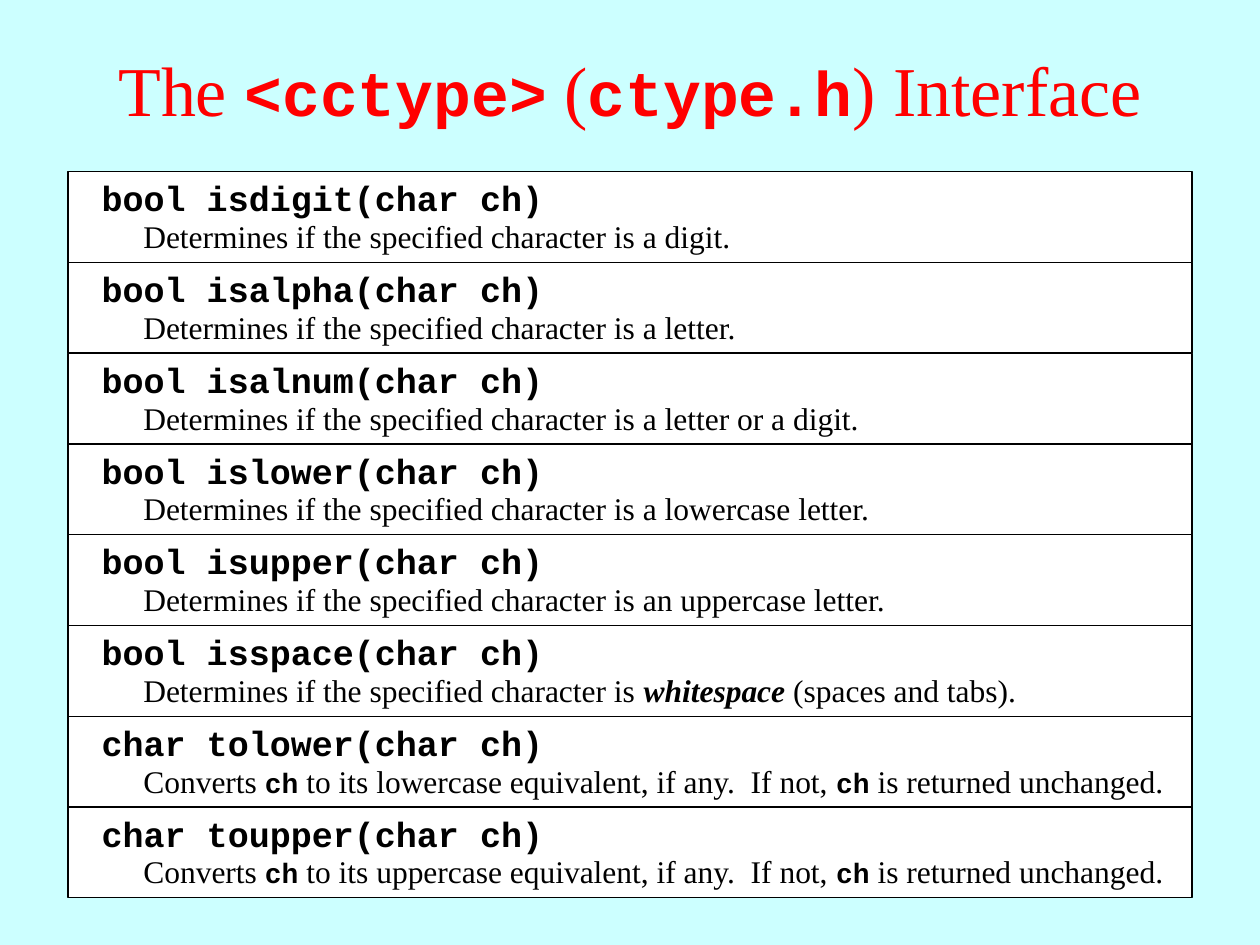
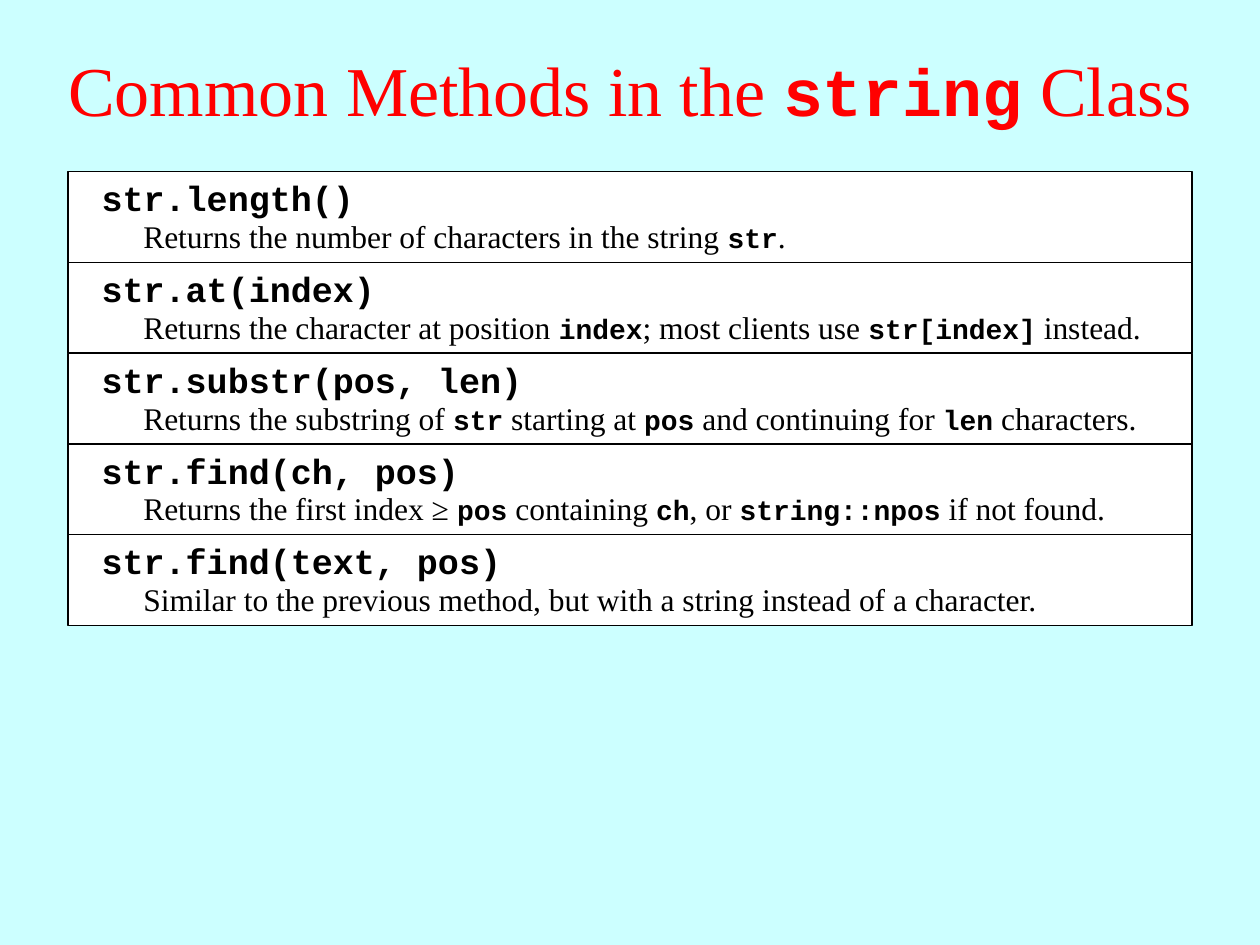
from pptx import Presentation
from pptx.dml.color import RGBColor
from pptx.enum.shapes import MSO_SHAPE
from pptx.enum.text import MSO_ANCHOR, MSO_AUTO_SIZE, PP_ALIGN
from pptx.util import Cm, Pt

RECTANGLE = MSO_SHAPE.RECTANGLE
MIDDLE = MSO_ANCHOR.MIDDLE
FIT_SHAPE, NO_FIT = MSO_AUTO_SIZE.SHAPE_TO_FIT_TEXT, MSO_AUTO_SIZE.NONE
CENTER, LEFT = PP_ALIGN.CENTER, PP_ALIGN.LEFT

COLORS = {"background": "CCFFFF", "title": "FF0000", "row": "FFFFFF", "ink": "000000"}
PROSE_FONT, CODE_FONT = "Times New Roman", "Courier New"

# Row grid, in centimetres
ROW_LEFT, ROW_TOP, ROW_WIDTH, ROW_HEIGHT = 1.37, 3.46, 22.66, 1.83

# Wording: `code` and *term* mark the spans set in another style
CCTYPE_ROWS = [
    ("bool isdigit(char ch)", "Determines if the specified character is a digit."),
    ("bool isalpha(char ch)", "Determines if the specified character is a letter."),
    ("bool isalnum(char ch)", "Determines if the specified character is a letter or a digit."),
    ("bool islower(char ch)", "Determines if the specified character is a lowercase letter."),
    ("bool isupper(char ch)", "Determines if the specified character is an uppercase letter."),
    ("bool isspace(char ch)",
     "Determines if the specified character is *whitespace *(spaces and tabs)."),
    ("char tolower(char ch)",
     "Converts `ch` to its lowercase equivalent, if any.  If not, `ch` is returned unchanged."),
    ("char toupper(char ch)",
     "Converts `ch` to its uppercase equivalent, if any.  If not, `ch` is returned unchanged."),
]
STRING_ROWS = [
    ("str.length()", "Returns the number of characters in the string `str`."),
    ("str.at(index)",
     "Returns the character at position `index`; most clients use `str[index]` instead."),
    ("str.substr(pos, len)",
     "Returns the substring of `str` starting at `pos` and continuing for `len` characters."),
    ("str.find(ch, pos)",
     "Returns the first index ≥ `pos` containing `ch`, or `string::npos` if not found."),
    ("str.find(text, pos)",
     "Similar to the previous method, but with a string instead of a character."),
]


def color(name):
    return RGBColor.from_string(COLORS[name])


def add_span(para, text, font, size, bold=False, italic=False):
    if text:
        span = para.add_run()
        span.text = text
        span.font.name, span.font.size = font, Pt(size)
        span.font.bold, span.font.italic = bold, italic


def write_marked_text(para, text, prose_size, code_size, ink):
    """Fill a paragraph with prose, `code` and *term* spans."""
    para.font.color.rgb = color(ink)
    for i, part in enumerate(text.split("`")):
        if i % 2:
            add_span(para, part, CODE_FONT, code_size, bold=True)
            continue
        for j, piece in enumerate(part.split("*")):
            is_term = j % 2 == 1
            add_span(para, piece, PROSE_FONT, prose_size, bold=is_term, italic=is_term)


def set_title(page, text, code_size):
    title = page.shapes.title
    title.left, title.top, title.width, title.height = Cm(0), Cm(0.2), Cm(25.4), Cm(3.18)
    frame = title.text_frame
    frame.auto_size, frame.vertical_anchor = NO_FIT, MIDDLE
    para = frame.paragraphs[0]
    para.alignment = CENTER
    write_marked_text(para, text, 40, code_size, "title")


def add_line_of_text(group, left, top, width, height):
    """Add a one-line text box and return its paragraph."""
    box = group.shapes.add_textbox(Cm(left), Cm(top), Cm(width), Cm(height))
    box.text_frame.word_wrap = True
    box.text_frame.auto_size = FIT_SHAPE
    para = box.text_frame.paragraphs[0]
    para.alignment = LEFT
    return para


def add_row(page, top, signature, description):
    group = page.shapes.add_group_shape()

    # Frame
    frame = group.shapes.add_shape(
        RECTANGLE, Cm(ROW_LEFT), Cm(top), Cm(ROW_WIDTH), Cm(ROW_HEIGHT))
    frame.shadow.inherit = False
    frame.fill.solid()
    frame.fill.fore_color.rgb = color("row")
    frame.line.color.rgb = color("ink")
    frame.line.width = Pt(0.75)

    # Signature
    para = add_line_of_text(group, 1.8, top - 0.02, 21.79, 1.09)
    para.text = signature
    para.font.name, para.font.size, para.font.bold = CODE_FONT, Pt(20), True
    para.font.color.rgb = color("ink")

    # Description
    para = add_line_of_text(group, 2.64, top + 0.79, 21.16, 1.02)
    write_marked_text(para, description, 18, 16, "ink")


def add_reference_page(deck, title, title_code_size, rows):
    page = deck.slides.add_slide(deck.slide_layouts.get_by_name("Title Only"))
    set_title(page, title, title_code_size)
    for index, (signature, description) in enumerate(rows):
        add_row(page, ROW_TOP + index * ROW_HEIGHT, signature, description)


def main():
    deck = Presentation()
    deck.slide_width, deck.slide_height = Cm(25.4), Cm(19.05)
    background = deck.slide_master.background.fill
    background.solid()
    background.fore_color.rgb = color("background")

    add_reference_page(deck, "The `<cctype>` (`ctype.h`) Interface", 36, CCTYPE_ROWS)
    add_reference_page(deck, "Common Methods in the `string` Class", 38, STRING_ROWS)
    deck.save("out.pptx")


if __name__ == "__main__":
    main()
